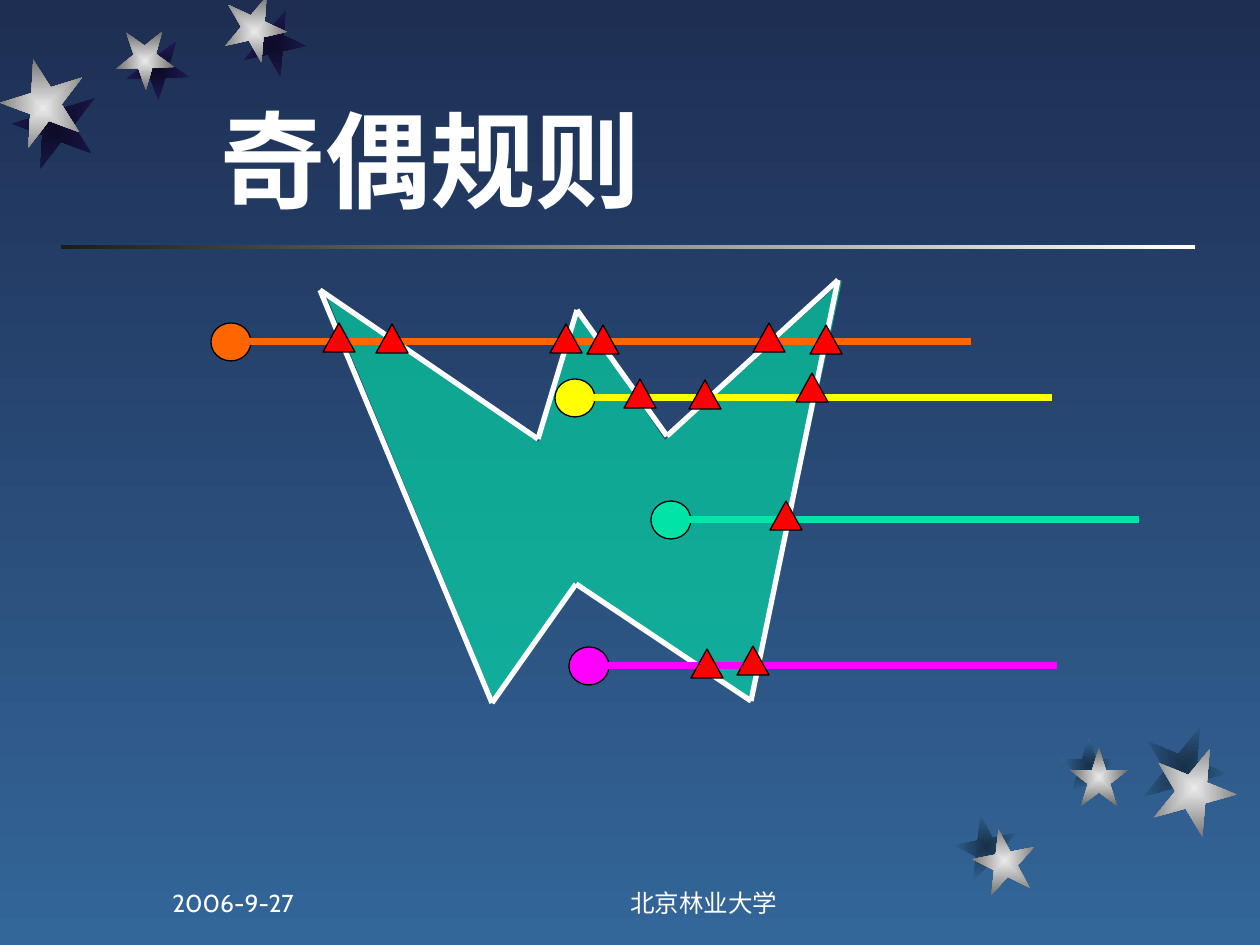
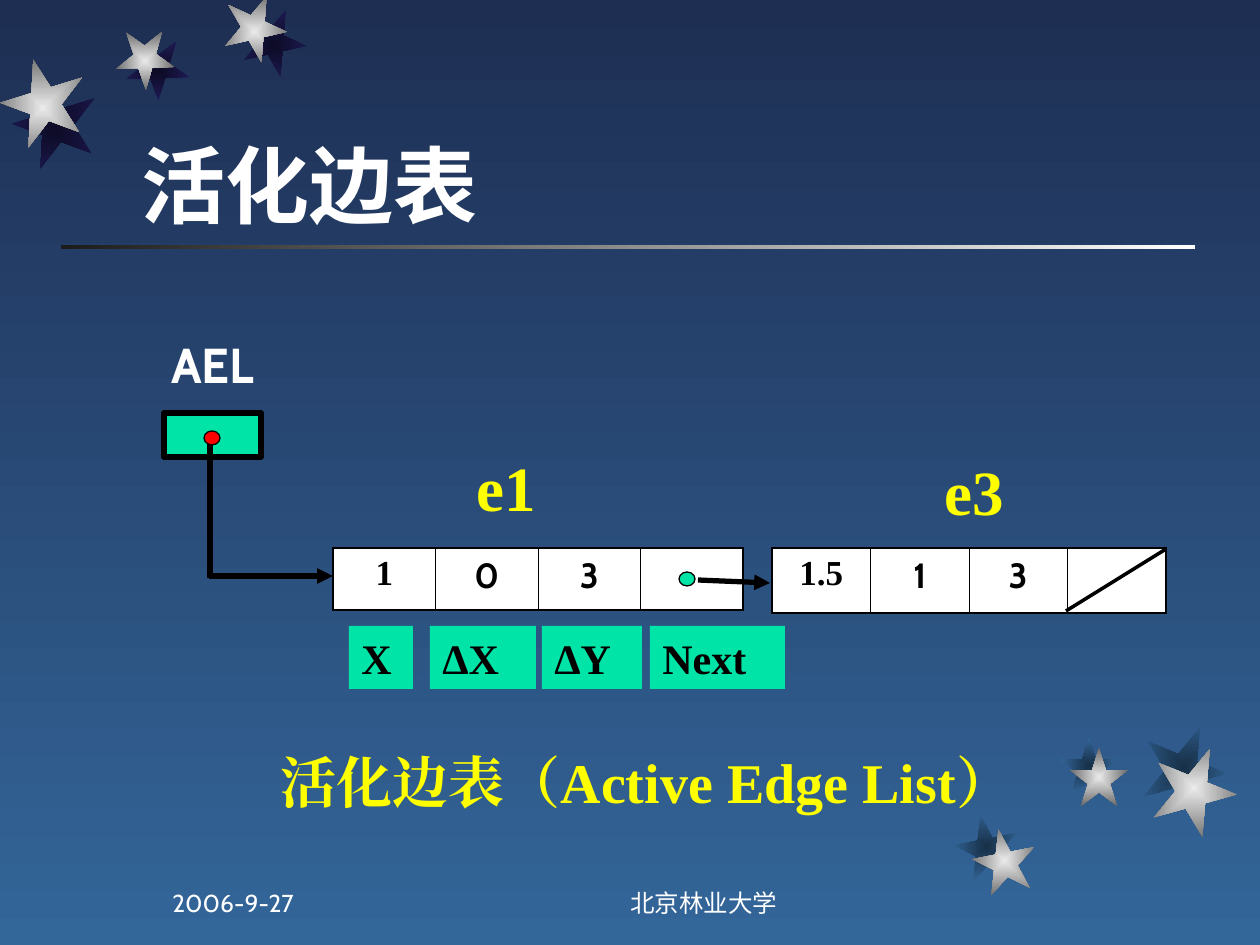
from lxml.etree import SubElement
from pptx import Presentation
from pptx.dml.color import RGBColor
from pptx.enum.shapes import MSO_CONNECTOR, MSO_SHAPE as Shape
from pptx.enum.text import MSO_ANCHOR as Anchor, PP_ALIGN as Align
from pptx.oxml.ns import qn
from pptx.util import Emu, Pt

PX = 914400 / 126
SLIDE_SIZE = (1260, 945)
SANS, SERIF = "Cabin", "Times New Roman"
COLORS = {
    "night": "1E2E53", "dusk": "336699", "white": "FFFFFF", "black": "000000",
    "charcoal": "1C1C1C", "silver": "EAEAEA", "steel": "6B6B6B",
    "ink": "0D0B26", "indigo": "1E1A53", "deep": "172F46",
    "mint": "00E4A8", "yellow": "FFFF00", "magenta": "FF00FF",
    "orange": "FF6600", "red": "FF0000",
}

# Each star: rotation, shadow box, front box
STAR_GROUPS = [
    (("ink", "indigo"), [
        (167.3, (242, 14, 63, 63), (223, 0, 63, 63)),
        (178.3, (126, 42, 63, 58), (116, 32, 58, 58)),
        (200.3, (13, 87, 84, 84), (1, 66, 84, 84)),
    ]),
    (("deep", "dusk"), [
        (349, (955, 815, 63, 63), (973, 829, 63, 63)),
        (0, (1060, 737, 58, 58), (1070, 748, 58, 58)),
        (22, (1142, 725, 84, 84), (1152, 746, 84, 84)),
    ]),
]
RULE = (61, 245, 1134, 4)
FOOTERS = [("北京林业大学", (504, 861, 400, 63), Align.CENTER),
           ("2006-9-27", (160, 861, 262, 63), Align.LEFT)]

# Odd-even rule
POLYGON = [(495, 703), (324, 290), (539, 442), (578, 311),
           (665, 440), (842, 281), (751, 703), (576, 582)]
OUTLINE = [(492, 703), (320, 290), (538, 439), (577, 310),
           (667, 436), (838, 280), (751, 701), (576, 584)]
# Each ray: colour, left and top of its start point, right end, crossings
RAYS = [
    ("mint", 651, 501, 1139, [(770, 501)]),
    ("yellow", 555, 379, 1052, [(624, 379), (689, 380), (796, 373)]),
    ("magenta", 569, 647, 1057, [(691, 649), (737, 646)]),
    ("orange", 211, 323, 971, [(323, 323), (376, 324), (550, 324),
                               (587, 325), (753, 323), (810, 325)]),
]
POINT_SIZE = (40, 38)
CROSSING_SIZE = (32, 29)

# Active edge list
EDGE_RECORDS = [(("1", "0", "3", ""), (333, 548, 410, 62)),
                (("1.5", "1", "3", ""), (772, 548, 394, 65))]
FIELD_LABELS = [("X", 349, 64), ("ΔX", 430, 106), ("ΔY", 542, 100), ("Next", 650, 135)]
FIELD_TOP, FIELD_HEIGHT = 626, 63
CAPTIONS = [
    ("AEL", (159, 328, 164, 72), 28, SANS, "white"),
    ("活化边表（Active Edge List）", (268, 741, 917, 81), 32, SERIF, "yellow"),
    ("e3", (932, 446, 106, 88), 36, SERIF, "yellow"),
    ("e1", (464, 442, 106, 88), 36, SERIF, "yellow"),
]
# Each link: from, to, width, has arrowhead
LINKS = [((209, 576), (333, 576), 3, True), ((698, 580), (770, 583), 3, True),
         ((1166, 549), (1066, 611), 2, False), ((210, 440), (210, 578), 3, False)]
HEAD_BOX = (164, 413, 97, 44)
POINTER_DOTS = [("mint", (679, 572, 16, 14)), ("red", (204, 431, 16, 14))]


def emu(values):
    return [Emu(round(value * PX)) for value in values]


def rgb(name):
    return RGBColor.from_string(COLORS[name])


def set_gradient(fill, names, angle=None):
    """Fill with two colours, along an angle or else outward from the centre."""
    fill.gradient()
    for stop, name in zip(fill.gradient_stops, names):
        stop.color.rgb = rgb(name)
    if angle is not None:
        fill.gradient_angle = angle


def centre_gradient(shape):
    gradient = shape.fill._xPr.find(qn("a:gradFill"))
    gradient.remove(gradient.find(qn("a:lin")))
    center = SubElement(gradient, qn("a:path"), {"path": "rect"})
    SubElement(center, qn("a:fillToRect"), dict.fromkeys("ltrb", "50000"))


def add_shape(slide, kind, box, fill=None, line=None, width=0.75):
    shape = slide.shapes.add_shape(kind, *emu(box))
    shape.shadow.inherit = False
    if fill:
        shape.fill.solid()
        shape.fill.fore_color.rgb = rgb(fill)
    if line:
        shape.line.color.rgb = rgb(line)
        shape.line.width = Pt(width)
    else:
        shape.line.fill.background()
    return shape


def add_line(slide, start, end, color, width, arrow=False):
    line = slide.shapes.add_connector(MSO_CONNECTOR.STRAIGHT, *emu(start + end))
    line.line.color.rgb = rgb(color)
    line.line.width = Pt(width)
    if arrow:
        SubElement(line.line._get_or_add_ln(), qn("a:tailEnd"), type="triangle")
    SubElement(line._element.spPr, qn("a:effectLst"))


def write(text_frame, text, size, font, color, bold=True, align=Align.LEFT):
    text_frame.text = text
    paragraph = text_frame.paragraphs[0]
    paragraph.alignment = align
    for run in paragraph.runs:
        run.font.size = Pt(size)
        run.font.bold = bold
        run.font.color.rgb = rgb(color)
        run.font.name = font
        SubElement(run._r.get_or_add_rPr(), qn("a:ea"), typeface=font)


def add_text(slide, text, box, size, font, color, anchor=Anchor.TOP, **style):
    text_frame = slide.shapes.add_textbox(*emu(box)).text_frame
    text_frame.word_wrap = True
    text_frame.vertical_anchor = anchor
    write(text_frame, text, size, font, color, **style)


def add_star(slide, box, rotation, colors):
    star = add_shape(slide, Shape.STAR_5_POINT, box)
    star.rotation = rotation
    set_gradient(star.fill, colors)
    centre_gradient(star)


def add_themed_slide(presentation, title, title_box, title_size):
    slide = presentation.slides.add_slide(presentation.slide_layouts[6])
    set_gradient(slide.background.fill, ("night", "dusk"), 270)
    rule = add_shape(slide, Shape.RECTANGLE, RULE)
    set_gradient(rule.fill, ("white", "charcoal"), 180)
    for shadow_colors, stars in STAR_GROUPS:
        for rotation, shadow_box, _ in stars:
            add_star(slide, shadow_box, rotation, shadow_colors)
        for rotation, _, front_box in stars:
            add_star(slide, front_box, rotation, ("silver", "steel"))
    add_text(slide, title, title_box, title_size, SANS, "white", Anchor.BOTTOM)
    for text, box, align in FOOTERS:
        add_text(slide, text, box, 14, SANS, "white", Anchor.BOTTOM, bold=False, align=align)
    return slide


def add_polygon(slide):
    builder = slide.shapes.build_freeform(*POLYGON[0], scale=PX)
    builder.add_line_segments(POLYGON[1:], close=True)
    polygon = builder.convert_to_shape()
    polygon.shadow.inherit = False
    polygon.line.fill.background()
    polygon.fill.solid()
    polygon.fill.fore_color.rgb = rgb("mint")
    color = polygon.fill._xPr.find(qn("a:solidFill"))[0]
    SubElement(color, qn("a:alpha"), val="61000")
    for start, end in zip(OUTLINE, OUTLINE[1:] + OUTLINE[:1]):
        add_line(slide, start, end, "white", 3)


def add_ray(slide, color, left, top, right, crossings):
    width, height = POINT_SIZE
    middle = top + height // 2
    add_shape(slide, Shape.OVAL, (left, top, width, height), color, "black")
    add_line(slide, (left + width - 4, middle), (right, middle), color, 4)
    for crossing in crossings:
        add_shape(slide, Shape.ISOSCELES_TRIANGLE, crossing + CROSSING_SIZE, "red", "black")


def set_borders(cell, widths):
    properties = cell._tc.get_or_add_tcPr()
    for side, width in widths.items():
        border = SubElement(properties, qn(f"a:ln{side}"), w=str(Pt(width)))
        fill = SubElement(border, qn("a:solidFill"))
        SubElement(fill, qn("a:srgbClr"), val=COLORS["black"])


def add_edge_record(slide, values, box):
    table = slide.shapes.add_table(1, len(values), *emu(box)).table
    table.first_row = table.horz_banding = False
    last = len(values) - 1
    for index, value in enumerate(values):
        cell = table.cell(0, index)
        set_borders(cell, {"L": 0.45 if index else 1.08,
                           "R": 1.08 if index == last else 0.45,
                           "T": 1.08, "B": 1.08})
        cell.fill.solid()
        cell.fill.fore_color.rgb = rgb("white")
        if value:
            write(cell.text_frame, value, 20, SANS if index else SERIF,
                  "black", align=Align.CENTER)


def build_odd_even_slide(presentation):
    slide = add_themed_slide(presentation, "奇偶规则", (208, 79, 862, 149), 60)
    add_polygon(slide)
    for ray in RAYS:
        add_ray(slide, *ray)


def build_edge_list_slide(presentation):
    slide = add_themed_slide(presentation, "活化边表", (129, 39, 1074, 202), 48)
    for values, box in EDGE_RECORDS:
        add_edge_record(slide, values, box)
    add_shape(slide, Shape.RECTANGLE, HEAD_BOX, "mint", "black", 3)
    for caption in CAPTIONS:
        add_text(slide, *caption)
    for text, left, width in FIELD_LABELS:
        label = add_shape(slide, Shape.RECTANGLE, (left, FIELD_TOP, width, FIELD_HEIGHT), "mint")
        label.text_frame.vertical_anchor = Anchor.TOP
        write(label.text_frame, text, 24, SERIF, "black")
    for start, end, width, arrow in LINKS:
        add_line(slide, start, end, "black", width, arrow)
    for color, box in POINTER_DOTS:
        add_shape(slide, Shape.OVAL, box, color, "black")


def main():
    presentation = Presentation()
    presentation.slide_width, presentation.slide_height = emu(SLIDE_SIZE)
    build_odd_even_slide(presentation)
    build_edge_list_slide(presentation)
    presentation.save("out.pptx")


if __name__ == "__main__":
    main()
